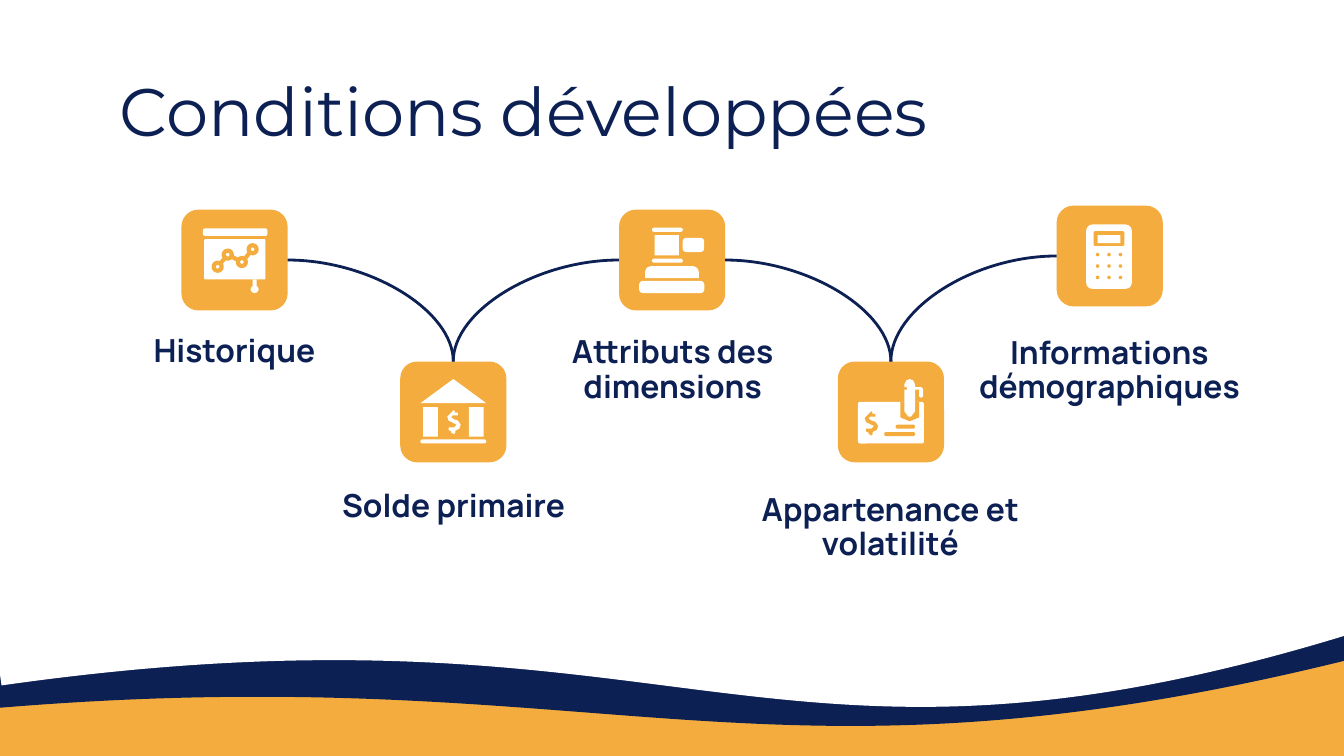
from dataclasses import dataclass
from itertools import pairwise, product
from typing import Any

from lxml.etree import SubElement
from pptx import Presentation
from pptx.dml.color import RGBColor
from pptx.enum.shapes import MSO_CONNECTOR as Connector, MSO_SHAPE as Preset
from pptx.enum.text import MSO_ANCHOR as Anchor, PP_ALIGN as Align
from pptx.oxml.ns import qn
from pptx.util import Emu, Inches, Pt

NAVY, GOLD, WHITE = "0C2054", "F3AC3D", "FFFFFF"
COLUMNS, ROWS = 100, 56.25
TILE_WIDTH, TILE_HEIGHT, TILE_LEFT, TILE_STEP = 7.9, 7.5, 13.5, 16.28
DOLLAR = ((-.2, -.7), (0, -.9), (.1, -.7), (.3, -.7), (.3, -.5), (-.1, -.5), (-.2, -.35),
          (0, -.2), (.3, -.1), (.5, .2), (.4, .5), (.1, .65), (.1, .8), (0, .9), (-.2, .8),
          (-.2, .7), (-.4, .6), (-.4, .4), (0, .4), (.2, .2), (0, .1), (-.4, -.1), (-.5, -.4))
PEN = ((4.95, 1.7), (5.1, 1.4), (5.36, 1.3), (5.6, 1.4), (5.75, 1.7), (5.75, 1.9), (6.2, 1.9),
       (6.35, 2.05), (6.35, 2.6), (6.2, 2.7), (6.05, 2.6), (6.05, 2.1), (5.75, 2.1), (5.75, 3.7),
       (5.45, 4.1), (5.25, 4.1), (4.95, 3.7), (4.95, 2.1), (5.15, 2.1), (5.15, 1.9), (4.95, 1.9))
TREND = ((2.7, 4.25), (3.45, 3.35), (4.5, 3.9), (5.3, 2.95))


@dataclass(frozen=True)
class Box:
    """A rectangle in grid columns and rows."""
    left: float
    top: float
    width: float
    height: float


@dataclass(frozen=True)
class Part:
    """A preset shape inside a tile."""
    preset: Preset
    box: Box
    color: str = WHITE
    rounding: float | None = None


@dataclass(frozen=True)
class Outline:
    """A closed polygon inside a tile, moved by an offset."""
    points: tuple
    left: float = 0
    top: float = 0
    color: str = WHITE


@dataclass(frozen=True)
class Step:
    """One condition with its tile height, label and icon."""
    tile_top: float
    label: str
    label_box: Box
    icon: tuple


def pill(left: float, top: float, width: float, height: float,
         color: str = WHITE, rounding: float = 0.5) -> Part:
    """Describe a rounded bar."""
    return Part(Preset.ROUNDED_RECTANGLE, Box(left, top, width, height), color, rounding)


def block(left: float, top: float, width: float, height: float, color: str = WHITE) -> Part:
    """Describe a plain rectangle."""
    return Part(Preset.RECTANGLE, Box(left, top, width, height), color)


CHART = (pill(1.6, 1.4, 4.8, 0.55, rounding=0.25), pill(1.7, 2.2, 4.55, 3, rounding=0.03),
         block(5.3, 5.2, 0.3, 0.6), Part(Preset.OVAL, Box(5.15, 5.65, 0.6, 0.55)))
BANK = (*(block(left, 3.4, 1.1, 2.2) for left in (1.7, 5.1)),
        Part(Preset.ISOSCELES_TRIANGLE, Box(1.5, 1.3, 4.9, 1.8)),
        pill(1.5, 5.8, 4.9, 0.3), Outline(DOLLAR, 4, 4.5))
GAVEL = (pill(4.74, 2.1, 1.6, 1.05, rounding=0.25),
         Part(Preset.ROUND_2_SAME_RECTANGLE, Box(1.94, 4.2, 4, 0.9), WHITE, 0.5),
         pill(1.5, 5.3, 4.85, 0.9, rounding=0.3), block(2.65, 1.9, 1.8, 1.5),
         *(pill(2.45, top, 2.3, 0.3) for top in (1.35, 3.65)))
CHEQUE = (pill(1.5, 3, 4.9, 3.1, rounding=0.05), Outline(DOLLAR, 2.5, 4.6, GOLD),
          pill(4.3, 4.7, 1.45, 0.3, GOLD), pill(3.45, 5.25, 2.3, 0.3, GOLD),
          Part(Preset.FLOWCHART_OFFPAGE_CONNECTOR, Box(4.65, 3, 1.4, 1.45), GOLD),
          Outline(PEN))
CALCULATOR = (pill(2.2, 1.4, 3.4, 4.8, rounding=0.14), pill(2.75, 1.9, 2.3, 1.1, GOLD, 0.12),
              block(3.05, 2.2, 1.7, 0.6),
              *(Part(Preset.OVAL, Box(2.92 + 0.85 * column, 3.52 + 0.85 * row, 0.26, 0.26), GOLD)
                for column, row in product(range(3), repeat=2)))
STEPS = (
    Step(15.6, "Historique", Box(9.3, 23.4, 16.3, 5.6), CHART),
    Step(26.9, "Solde primaire", Box(23.5, 33.4, 20.5, 8.7), BANK),
    Step(15.6, "Attributs des dimensions", Box(41, 24.8, 18.1, 5.6), GAVEL),
    Step(26.9, "Appartenance et volatilité", Box(54.1, 36.5, 24.3, 5.6), CHEQUE),
    Step(15.3, "Informations démographiques", Box(70.4, 23.3, 24.3, 8.7), CALCULATOR),
)


def grid(count: float) -> Emu:
    """Turn grid cells into a length."""
    return Inches(count / 10)


def paint(color: str) -> RGBColor:
    """Turn a hex string into a colour."""
    return RGBColor.from_string(color)


def apply(target: Any, values: dict) -> None:
    """Set every attribute in a dict of format values."""
    for name, value in values.items():
        setattr(target, name, value)


def fill_plain(shape: Any, color: str) -> None:
    """Give a shape a solid fill without line or shadow."""
    shape.shadow.inherit = False
    shape.fill.solid()
    shape.fill.fore_color.rgb = paint(color)
    shape.line.fill.background()


def draw_part(shapes: Any, part: Part, left: float = 0, top: float = 0) -> Any:
    """Draw a preset shape moved by an offset."""
    box = part.box
    shape = shapes.add_shape(part.preset, grid(left + box.left), grid(top + box.top),
                             grid(box.width), grid(box.height))
    fill_plain(shape, part.color)
    if part.rounding is not None:
        shape.adjustments[0] = part.rounding
    return shape


def draw_outline(shapes: Any, outline: Outline, left: float, top: float) -> None:
    """Draw a closed polygon moved by an offset."""
    points = [(grid(left + outline.left + x), grid(top + outline.top + y))
              for x, y in outline.points]
    builder = shapes.build_freeform(*points[0])
    builder.add_line_segments(points[1:], close=True)
    fill_plain(builder.convert_to_shape(), outline.color)


def draw_line(shapes: Any, kind: Connector, start: tuple, end: tuple,
              color: str, width: float) -> Any:
    """Draw a connector without shadow between two grid points."""
    connector = shapes.add_connector(kind, *map(grid, start + end))
    connector.line.color.rgb = paint(color)
    connector.line.width = Pt(width)
    SubElement(connector._element.spPr, qn("a:effectLst"))
    return connector


def draw_arc(shapes: Any, start: tuple, end: tuple) -> None:
    """Draw a quarter curve that leaves sideways and arrives from above."""
    connector = draw_line(shapes, Connector.CURVE, start, end, NAVY, 1.5)
    connector._element.spPr.find(qn("a:prstGeom")).set("prst", "curvedConnector2")


def draw_text(shapes: Any, text: str, box: Box, align: Align, font: dict) -> None:
    """Draw a wrapped, vertically centred text box."""
    shape = shapes.add_textbox(*map(grid, (box.left, box.top, box.width, box.height)))
    margins = {f"margin_{side}": grid(1) for side in ("left", "top", "right", "bottom")}
    apply(shape.text_frame, {"word_wrap": True, "vertical_anchor": Anchor.MIDDLE, **margins})
    paragraph = shape.text_frame.paragraphs[0]
    paragraph.text = text
    apply(paragraph, {"alignment": align, "line_spacing": 0.9})
    apply(paragraph.font, font)
    paragraph.font.color.rgb = paint(NAVY)


def draw_wave(shapes: Any, box: Box, color: str) -> None:
    """Draw a tilted, mirrored sheet with a wavy lower edge."""
    shape = draw_part(shapes, Part(Preset.FLOWCHART_DOCUMENT, box, color))
    shape.rotation = 351.9
    shape._element.spPr.find(qn("a:xfrm")).set("flipH", "1")


def draw_step(shapes: Any, step: Step, left: float) -> None:
    """Draw a tile with its icon and label."""
    draw_part(shapes, pill(0, 0, TILE_WIDTH, TILE_HEIGHT, GOLD, 0.167), left, step.tile_top)
    icon = shapes.add_group_shape().shapes
    for part in step.icon:
        draw = draw_outline if isinstance(part, Outline) else draw_part
        draw(icon, part, left, step.tile_top)
    if step.icon is CHART:
        draw_trend(icon, left, step.tile_top)
    draw_text(shapes, step.label, step.label_box, Align.CENTER,
              {"name": "Manrope", "size": Pt(17), "bold": True})


def draw_trend(shapes: Any, left: float, top: float) -> None:
    """Draw the linked rings on the chart board."""
    nodes = [(left + x, top + y) for x, y in TREND]
    for start, end in pairwise(nodes):
        draw_line(shapes, Connector.STRAIGHT, start, end, GOLD, 2.25)
    for x, y in nodes:
        ring = draw_part(shapes, Part(Preset.OVAL, Box(x - 0.3, y - 0.3, 0.6, 0.6)))
        ring.line.color.rgb = paint(GOLD)
        ring.line.width = Pt(2.25)


def main() -> None:
    """Build and save the slide."""
    presentation = Presentation()
    apply(presentation, {"slide_width": grid(COLUMNS), "slide_height": grid(ROWS)})
    slide = presentation.slides.add_slide(presentation.slide_layouts[6])
    slide.background.fill.solid()
    slide.background.fill.fore_color.rgb = paint(GOLD)
    shapes = slide.shapes
    draw_wave(shapes, Box(-20.8, -7, 135.5, 65.2), NAVY)
    draw_wave(shapes, Box(-3.2, -8.8, 109.4, 65.2), WHITE)
    draw_text(shapes, "Conditions développées", Box(7.9, 5.9, 84.3, 5.3), Align.LEFT,
              {"name": "Montserrat", "size": Pt(36)})
    lefts = [TILE_LEFT + TILE_STEP * index for index in range(len(STEPS))]
    for step, left in zip(STEPS, lefts):
        draw_step(shapes, step, left)
    for low in (1, 3):
        end = (lefts[low] + TILE_WIDTH / 2, STEPS[low].tile_top)
        for high, edge in ((low - 1, TILE_WIDTH), (low + 1, 0)):
            draw_arc(shapes, (lefts[high] + edge, STEPS[high].tile_top + TILE_HEIGHT / 2), end)
    presentation.save("out.pptx")


if __name__ == "__main__":
    main()
